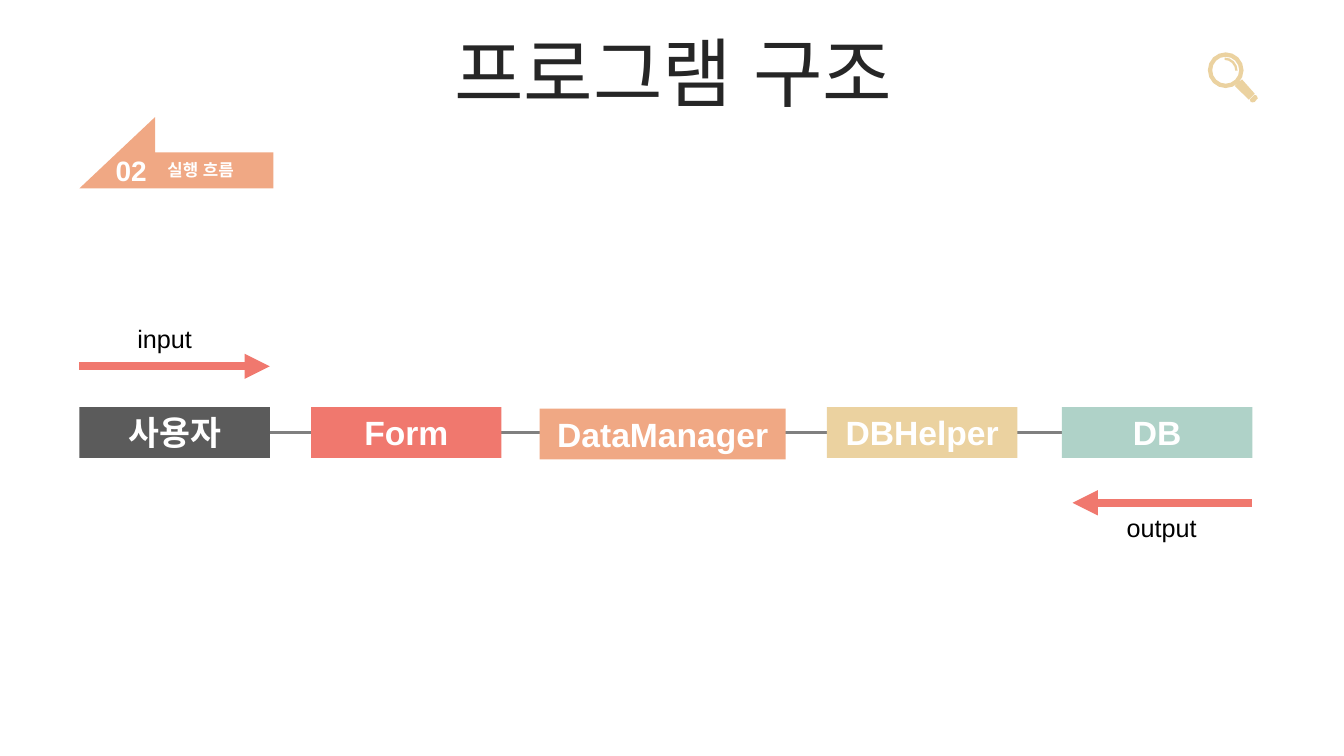
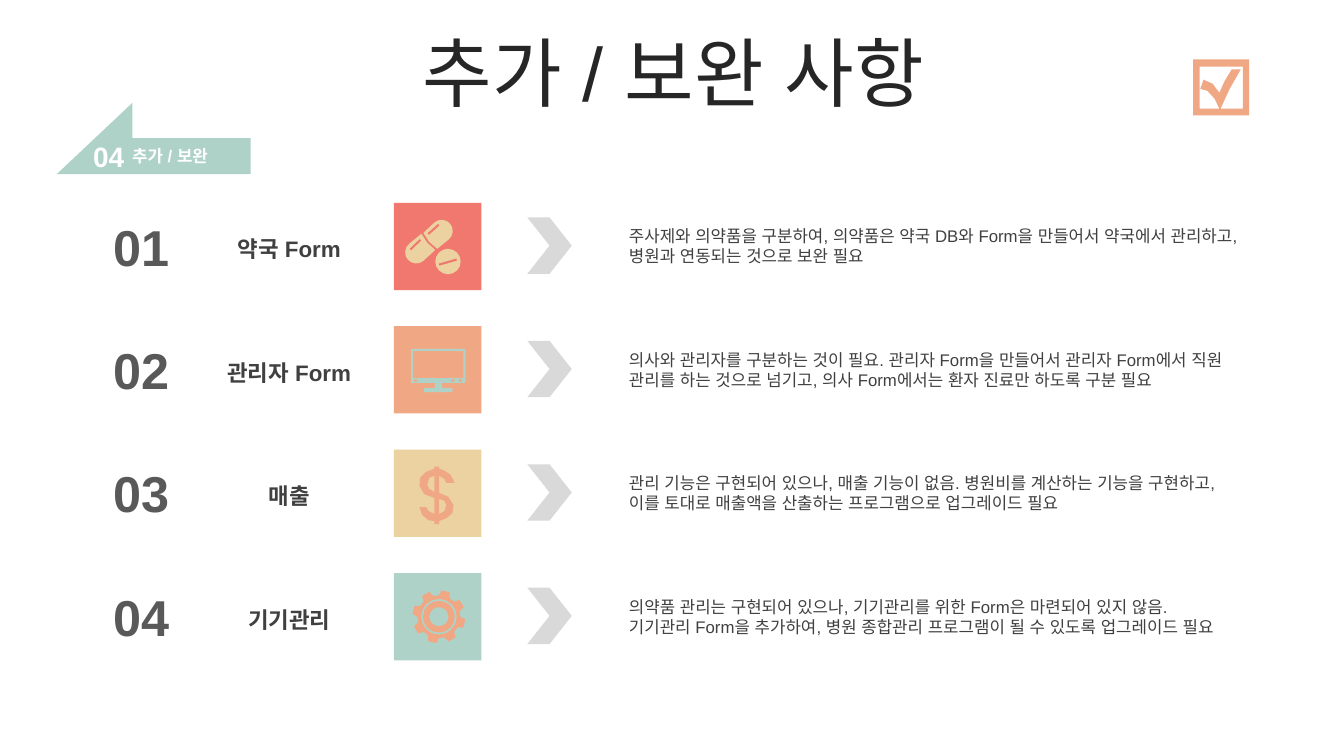
from dataclasses import dataclass
from math import cos, hypot, radians, sin

from lxml.etree import SubElement
from pptx import Presentation
from pptx.dml.color import RGBColor
from pptx.enum.shapes import MSO_CONNECTOR, MSO_SHAPE
from pptx.enum.text import MSO_ANCHOR, PP_ALIGN
from pptx.oxml.ns import qn
from pptx.shapes.autoshape import Shape
from pptx.slide import Slide
from pptx.util import Cm, Pt

FONT = "Arial"
RED, ORANGE, SAND, MINT = "F0786E", "F0A884", "EBD2A0", "AFD2C8"
CHARCOAL, TITLE_INK, NUMBER_INK, TEXT_INK = "5B5B5B", "262626", "595959", "404040"
LINE_GREY, CHEVRON_GREY, WHITE, BLACK = "808080", "D9D9D9", "FFFFFF", "000000"

Contour = list[tuple[float, float]]


@dataclass(frozen=True)
class Box:
    """Place and size in centimetres."""
    left: float
    top: float
    width: float
    height: float

    def lengths(self) -> tuple[Cm, Cm, Cm, Cm]:
        return Cm(self.left), Cm(self.top), Cm(self.width), Cm(self.height)


@dataclass(frozen=True)
class TextStyle:
    size: int
    colour: str
    bold: bool = False
    align: PP_ALIGN = PP_ALIGN.LEFT
    anchor: MSO_ANCHOR = MSO_ANCHOR.TOP


@dataclass(frozen=True)
class Node:
    name: str
    left: float
    colour: str
    width: float = 4.8
    top: float = 10.26


@dataclass(frozen=True)
class Improvement:
    label: str
    details: str
    tile_colour: str
    icon_colour: str
    icon: list[Contour]


TITLE = TextStyle(54, TITLE_INK, align=PP_ALIGN.CENTER, anchor=MSO_ANCHOR.MIDDLE)
TAG_NUMBER = TextStyle(20, WHITE, True, PP_ALIGN.RIGHT, MSO_ANCHOR.MIDDLE)
TAG_CAPTION = TextStyle(12, WHITE, True, anchor=MSO_ANCHOR.MIDDLE)
NODE = TextStyle(24, WHITE, True, PP_ALIGN.CENTER, MSO_ANCHOR.MIDDLE)
ARROW_LABEL = TextStyle(18, BLACK)
ROW_NUMBER = TextStyle(36, NUMBER_INK, True, PP_ALIGN.CENTER)
ROW_LABEL = TextStyle(16, TEXT_INK, True, PP_ALIGN.CENTER)
ROW_DETAILS = TextStyle(12, TEXT_INK)


def rgb(colour: str) -> RGBColor:
    return RGBColor.from_string(colour)


def paint(shape: Shape, colour: str) -> None:
    shape.shadow.inherit = False
    shape.fill.solid()
    shape.fill.fore_color.rgb = rgb(colour)
    shape.line.fill.background()


def write(shape: Shape, text: str, style: TextStyle) -> None:
    frame = shape.text_frame
    frame.word_wrap = True
    frame.vertical_anchor = style.anchor
    frame.text = text
    for paragraph in frame.paragraphs:
        paragraph.alignment = style.align
        paragraph.font.name = FONT
        paragraph.font.size = Pt(style.size)
        paragraph.font.bold = style.bold
        paragraph.font.color.rgb = rgb(style.colour)
    for properties in shape.element.iter(qn("a:defRPr")):
        SubElement(properties, qn("a:ea"), typeface=FONT)


def add_text(slide: Slide, box: Box, text: str, style: TextStyle) -> Shape:
    shape = slide.shapes.add_textbox(*box.lengths())
    write(shape, text, style)
    return shape


def add_block(slide: Slide, kind: MSO_SHAPE, box: Box, colour: str) -> Shape:
    shape = slide.shapes.add_shape(kind, *box.lengths())
    paint(shape, colour)
    return shape


def add_line(slide: Slide, start: float, end: float, y: float, colour: str,
             width: float, arrow: bool = False) -> None:
    """Draw a horizontal line, with an arrowhead at its end if asked."""
    connector = slide.shapes.add_connector(
        MSO_CONNECTOR.STRAIGHT, Cm(start), Cm(y), Cm(end), Cm(y))
    connector.line.color.rgb = rgb(colour)
    connector.line.width = Pt(width)
    properties = connector.element.spPr
    if arrow:
        SubElement(properties.find(qn("a:ln")), qn("a:tailEnd"), type="triangle")
    SubElement(properties, qn("a:effectLst"))


def add_outline(slide: Slide, contours: list[Contour], colour: str) -> None:
    """Draw closed contours as one shape; a contour inside another is a hole."""
    scaled = [[(Cm(x), Cm(y)) for x, y in contour] for contour in contours]
    builder = slide.shapes.build_freeform(*scaled[0][0])
    for index, points in enumerate(scaled):
        if index:
            builder.move_to(*points[0])
        builder.add_line_segments(points[1:], close=True)
    paint(builder.convert_to_shape(), colour)


def arc(x: float, y: float, radius: float, start: float = 0, sweep: float = 360) -> Contour:
    """Points on a circle, in degrees clockwise from the right."""
    steps = round(abs(sweep) / 22.5)
    angles = [radians(start + sweep * step / steps) for step in range(steps + 1)]
    return [(x + radius * cos(angle), y + radius * sin(angle)) for angle in angles]


def rectangle(left: float, top: float, right: float, bottom: float) -> Contour:
    return [(left, top), (right, top), (right, bottom), (left, bottom)]


def bar(x1: float, y1: float, x2: float, y2: float) -> Contour:
    """A thin bar along a segment."""
    half = 0.03 / hypot(x2 - x1, y2 - y1)
    dx, dy = (y1 - y2) * half, (x2 - x1) * half
    return [(x1 + dx, y1 + dy), (x2 + dx, y2 + dy), (x2 - dx, y2 - dy), (x1 - dx, y1 - dy)]


def gear(x: float, y: float) -> list[Contour]:
    corners = ((-15, 0.54), (-9, 0.67), (9, 0.67), (15, 0.54))
    teeth = [
        (x + radius * cos(radians(tooth + turn)), y + radius * sin(radians(tooth + turn)))
        for tooth in range(15, 375, 45) for turn, radius in corners
    ]
    return [teeth] + [arc(x, y, radius) for radius in (0.45, 0.4, 0.24)]


MAGNIFIER = [
    arc(30.89, 1.77, 0.45),
    arc(30.89, 1.77, 0.34),
    arc(30.86, 1.78, 0.33, -90, 90) + arc(30.86, 1.78, 0.27, 0, -90),
    [(31.3, 2.0), (31.62, 2.36), (31.47, 2.51), (31.12, 2.17)],
    [(31.62, 2.39), (31.67, 2.41), (31.7, 2.48), (31.67, 2.51),
     (31.62, 2.57), (31.57, 2.58), (31.52, 2.57), (31.5, 2.51)],
]
CHECKBOX = [
    rectangle(30.07, 1.5, 31.48, 2.91),
    rectangle(30.23, 1.68, 31.32, 2.74),
    [(30.73, 2.74), (30.61, 2.49), (30.43, 2.29), (30.25, 2.24), (30.33, 2.01), (30.56, 2.11),
     (30.73, 2.34), (30.86, 2.05), (31.04, 1.75), (31.27, 1.75), (30.99, 2.24), (30.76, 2.74)],
]
PILLS = [
    arc(10.49, 6.36, 0.28, 50, 180) + [(10.62, 5.89), (10.77, 6.12), (10.97, 6.3)],
    arc(11.13, 5.82, 0.28, 230, 180) + [(11.02, 6.27), (10.82, 6.1), (10.67, 5.87)],
    arc(11.29, 6.59, 0.32),
    bar(10.34, 6.29, 10.6, 6.04),
    bar(10.79, 5.9, 11.06, 5.66),
    bar(11.06, 6.67, 11.51, 6.54),
]
MONITOR = [
    [(10.36, 8.79), (11.73, 8.79), (11.73, 9.65), (11.13, 9.65), (11.15, 9.78), (11.4, 9.78),
     (11.4, 9.88), (10.69, 9.88), (10.69, 9.78), (10.95, 9.78), (10.97, 9.65), (10.36, 9.65)],
    rectangle(10.41, 8.84, 11.68, 9.53),
    bar(10.43, 9.59, 10.52, 9.59),
    bar(11.37, 9.59, 11.46, 9.59),
    arc(11.6, 9.59, 0.04),
]
DOLLAR = [
    [(10.95, 11.76), (11.07, 11.76), (11.07, 11.81), (11.2, 11.86), (11.35, 11.96),
     (11.46, 12.17), (11.25, 12.17), (11.2, 12.07), (11.07, 11.99), (11.07, 12.42),
     (11.3, 12.52), (11.43, 12.73), (11.4, 12.93), (11.25, 13.06), (11.07, 13.13),
     (11.07, 13.21), (10.95, 13.21), (10.95, 13.13), (10.8, 13.11), (10.64, 12.98),
     (10.57, 12.78), (10.74, 12.78), (10.8, 12.88), (10.95, 12.95), (10.95, 12.55),
     (10.69, 12.45), (10.57, 12.24), (10.59, 12.04), (10.74, 11.89), (10.95, 11.81)],
    [(11.07, 12.57), (11.07, 12.95), (11.2, 12.88), (11.25, 12.73), (11.2, 12.62)],
    [(10.95, 11.99), (10.82, 12.04), (10.77, 12.22), (10.82, 12.32), (10.95, 12.4)],
]

NODES = [
    Node("사용자", 2.0, CHARCOAL),
    Node("Form", 7.84, RED),
    Node("DataManager", 13.6, ORANGE, width=6.2, top=10.3),
    Node("DBHelper", 20.84, SAND),
    Node("DB", 26.76, MINT),
]
IMPROVEMENTS = [
    Improvement("약국 Form",
                "주사제와 의약품을 구분하여, 의약품은 약국 DB와 Form을 만들어서 약국에서 "
                "관리하고, 병원과 연동되는 것으로 보완 필요", RED, SAND, PILLS),
    Improvement("관리자 Form",
                "의사와 관리자를 구분하는 것이 필요. 관리자 Form을 만들어서 관리자 Form에서 "
                "직원 관리를 하는 것으로 넘기고, 의사 Form에서는 환자 진료만 하도록 구분 필요",
                ORANGE, MINT, MONITOR),
    Improvement("매출",
                "관리 기능은 구현되어 있으나, 매출 기능이 없음. 병원비를 계산하는 기능을 구현하고, "
                "이를 토대로 매출액을 산출하는 프로그램으로 업그레이드 필요", SAND, ORANGE, DOLLAR),
    Improvement("기기관리",
                "의약품 관리는 구현되어 있으나, 기기관리를 위한 Form은 마련되어 있지 않음.\n"
                "기기관리 Form을 추가하여, 병원 종합관리 프로그램이 될 수 있도록 업그레이드 필요",
                MINT, ORANGE, gear(11.06, 15.54)),
]


def add_titled_slide(presentation: Presentation, title: str) -> Slide:
    slide = presentation.slides.add_slide(presentation.slide_layouts[6])
    shape = add_text(slide, Box(0.89, 0.94, 32.16, 2.01), title, TITLE)
    paragraph = shape.text_frame.paragraphs[0]
    paragraph.line_spacing = 0.9
    paragraph.space_before = Pt(10)
    return slide


def add_section_tag(slide: Slide, left: float, top: float, colour: str,
                    number: str, caption: str, caption_offset: float) -> None:
    flag = [(1.91, 0), (1.91, 0.89), (4.89, 0.89), (4.89, 1.8), (0, 1.8)]
    add_outline(slide, [[(left + x, top + y) for x, y in flag]], colour)
    add_text(slide, Box(left + 0.48, top + 0.78, 1.47, 1.12), number, TAG_NUMBER)
    add_text(slide, Box(left + caption_offset, top + 0.95, 3.3, 0.76), caption, TAG_CAPTION)


def add_structure_slide(presentation: Presentation) -> None:
    slide = add_titled_slide(presentation, "프로그램 구조")
    add_line(slide, 5.56, 28.58, 10.9, LINE_GREY, 2)
    for node in NODES:
        box = Box(node.left, node.top, node.width, 1.28)
        write(add_block(slide, MSO_SHAPE.RECTANGLE, box, node.colour), node.name, NODE)
    add_text(slide, Box(3.21, 8.03, 2.2, 1.02), "input", ARROW_LABEL)
    add_line(slide, 2.0, 6.8, 9.23, RED, 6, arrow=True)
    add_text(slide, Box(28.14, 12.78, 2.29, 1.02), "output", ARROW_LABEL)
    add_line(slide, 31.55, 27.03, 12.67, RED, 6, arrow=True)
    add_section_tag(slide, 2.0, 2.95, ORANGE, "02", "실행 흐름", 1.97)
    add_outline(slide, MAGNIFIER, SAND)


def add_improvements_slide(presentation: Presentation) -> None:
    slide = add_titled_slide(presentation, "추가 / 보완 사항")
    add_section_tag(slide, 1.43, 2.59, MINT, "04", "추가 / 보완", 1.65)
    add_outline(slide, CHECKBOX, ORANGE)
    for index, row in enumerate(IMPROVEMENTS):
        top = 5.11 + 3.11 * index
        add_block(slide, MSO_SHAPE.RECTANGLE, Box(9.93, top, 2.2, 2.2), row.tile_colour)
        add_outline(slide, row.icon, row.icon_colour)
        add_text(slide, Box(2.44, top + 0.2, 2.24, 1.8), f"{index + 1:02}", ROW_NUMBER)
        add_text(slide, Box(5.31, top + 0.7, 3.96, 0.94), row.label, ROW_LABEL)
        add_block(slide, MSO_SHAPE.CHEVRON, Box(13.29, top + 0.37, 1.12, 1.42), CHEVRON_GREY)
        add_text(slide, Box(15.6, top + 0.46, 15.85, 1.27), row.details, ROW_DETAILS)


def main() -> None:
    presentation = Presentation()
    presentation.slide_width, presentation.slide_height = Cm(33.87), Cm(19.05)
    add_structure_slide(presentation)
    add_improvements_slide(presentation)
    presentation.save("out.pptx")


if __name__ == "__main__":
    main()
